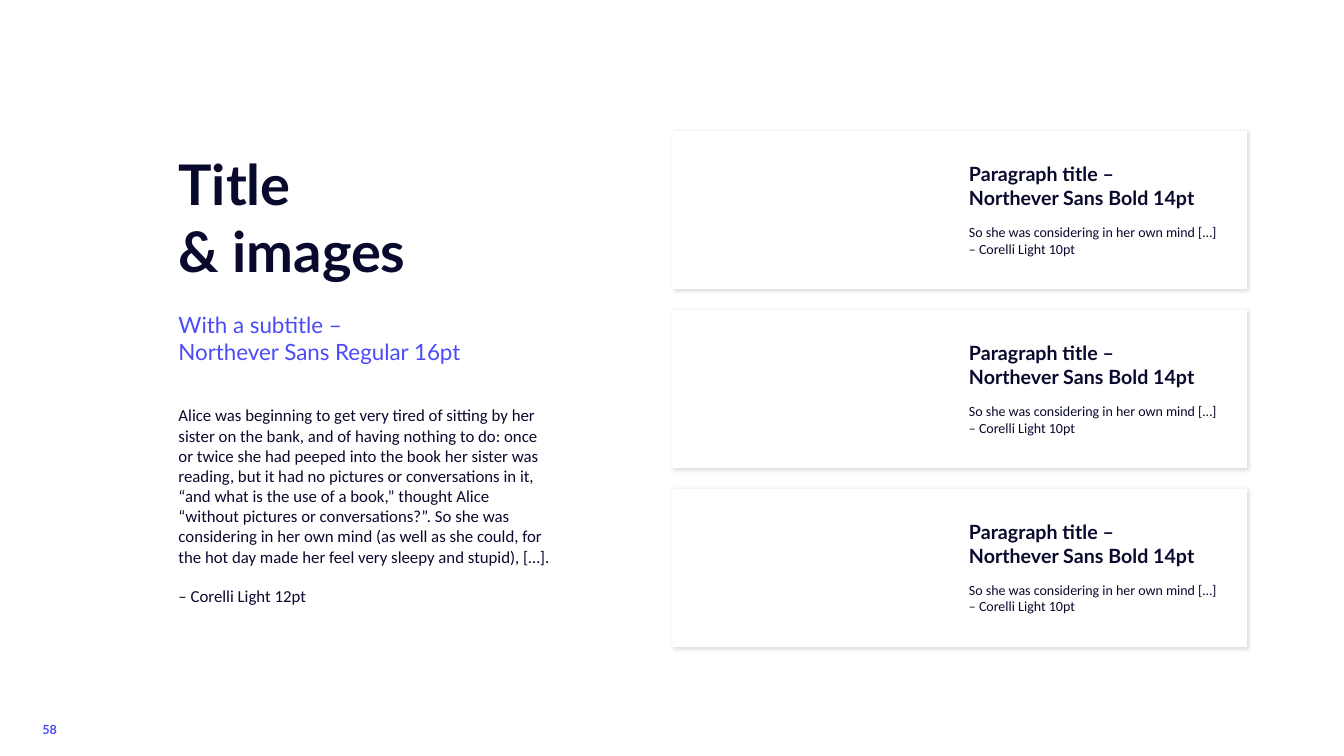
import copy

import pptx
import pptx.dml.color
import pptx.enum.shapes
import pptx.enum.text
import pptx.oxml
import pptx.oxml.ns
import pptx.util
from pptx.util import Inches

NAVY = "09092D"
VIOLET = "4B4BF9"
WHITE = "FFFFFF"
CARD_SHADOW = (
    f'<a:effectLst {pptx.oxml.ns.nsdecls("a")}>'
    '<a:outerShdw blurRad="38100" dist="12700" dir="2700000" algn="tl" rotWithShape="0">'
    '<a:srgbClr val="000000"><a:alpha val="15000"/></a:srgbClr>'
    "</a:outerShdw></a:effectLst>"
)


def rgb(hex_color):
    return pptx.dml.color.RGBColor.from_string(hex_color)


def write(frame, text, size, font="Lato", color=NAVY, bold=False, space_before=0, line_spacing=1.0):
    """Fill the frame's empty first paragraph, or append one; each \\n is a line break."""
    paragraph = frame.paragraphs[0] if not frame.text else frame.add_paragraph()
    paragraph.text = text
    paragraph.alignment = pptx.enum.text.PP_ALIGN.LEFT
    paragraph.space_before = pptx.util.Pt(space_before)
    paragraph.line_spacing = line_spacing
    for run in paragraph.runs:
        run.font.size = pptx.util.Pt(size)
        run.font.name = font
        run.font.bold = bold
        run.font.color.rgb = rgb(color)
    # Line breaks need the run format too, or they keep the default line height
    for line_break in paragraph._p.findall(pptx.oxml.ns.qn("a:br")):
        line_break.append(copy.deepcopy(paragraph.runs[0]._r.rPr))


presentation = pptx.Presentation()
presentation.slide_width = Inches(13.33)
presentation.slide_height = Inches(7.5)
slide = presentation.slides.add_slide(presentation.slide_layouts[5])

# Title, subtitle and story share the title placeholder
title = slide.shapes.title
title.left, title.top = Inches(1.67), Inches(1.51)
title.width, title.height = Inches(3.9), Inches(4.48)
story = title.text_frame
story.word_wrap = True
story.auto_size = pptx.enum.text.MSO_AUTO_SIZE.NONE
story.vertical_anchor = pptx.enum.text.MSO_ANCHOR.MIDDLE
write(story, "Title\n& images", 40, bold=True)
write(story, "With a subtitle –\nNorthever Sans Regular 16pt", 16, color=VIOLET, space_before=19)
write(
    story,
    "Alice was beginning to get very tired of sitting by her sister on the bank, "
    "and of having nothing to do: once or twice she had peeped into the book her "
    "sister was reading, but it had no pictures or conversations in it, “and what "
    "is the use of a book,” thought Alice “without pictures or conversations?”. "
    "So she was considering in her own mind (as well as she could, for the hot day "
    "made her feel very sleepy and stupid), […].",
    12, font="Calibri", space_before=29,
)
write(story, "– Corelli Light 12pt", 12, font="Calibri", space_before=14)

# Three equal cards, each with a caption on its right half
first_top, last_top, card_count = 1.3, 4.85, 3
card_pitch = (last_top - first_top) / (card_count - 1)
for index in range(card_count):
    card_top = first_top + index * card_pitch
    card = slide.shapes.add_shape(
        pptx.enum.shapes.MSO_SHAPE.RECTANGLE,
        Inches(6.67), Inches(card_top), Inches(5.7), Inches(1.57),
    )
    card.fill.solid()
    card.fill.fore_color.rgb = rgb(WHITE)
    card.line.fill.background()
    card._element.spPr.append(pptx.oxml.parse_xml(CARD_SHADOW))

    caption = slide.shapes.add_textbox(
        Inches(9.22), Inches(card_top + 0.26), Inches(3.15), Inches(1.05)
    ).text_frame
    caption.word_wrap = True
    caption.margin_left, caption.margin_right = Inches(0.39), Inches(0.28)
    write(caption, "Paragraph title –\nNorthever Sans Bold 14pt", 14, bold=True)
    write(
        caption, "So she was considering in her own mind […] – Corelli Light 10pt",
        10, font="Calibri", space_before=10,
    )

page_number = slide.shapes.add_textbox(
    Inches(0.37), Inches(7.13), Inches(0.4), Inches(0.24)
).text_frame
page_number.word_wrap = True
page_number.margin_left = page_number.margin_right = Inches(0.05)
write(page_number, "58", 9, color=VIOLET, bold=True, line_spacing=0.9)

presentation.save("out.pptx")
